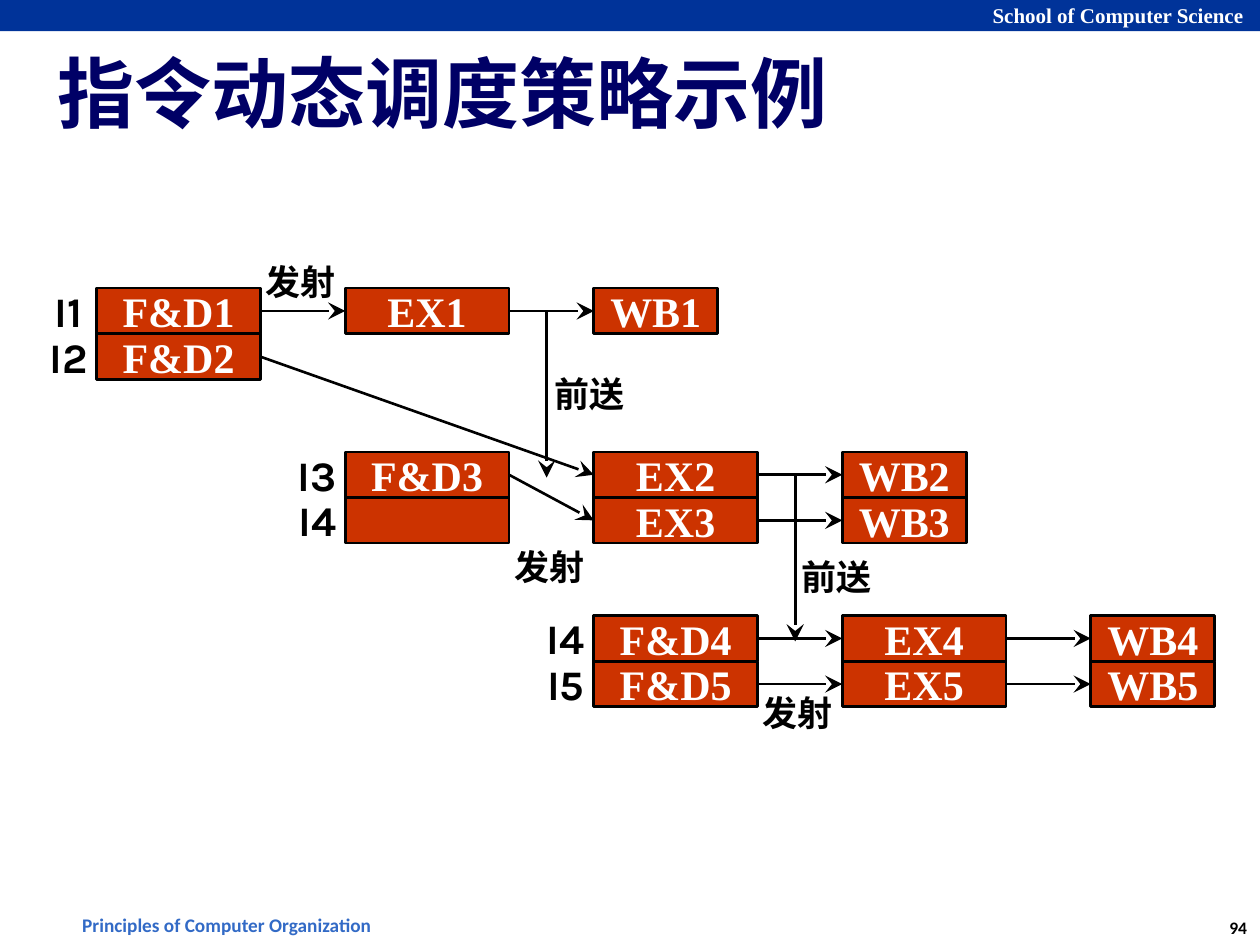
"""Build a slide showing dynamic instruction scheduling in a pipeline."""
from lxml.etree import SubElement
from pptx import Presentation
from pptx.dml.color import RGBColor
from pptx.enum.shapes import MSO_CONNECTOR as Connector
from pptx.enum.shapes import MSO_SHAPE as Shape
from pptx.enum.text import MSO_ANCHOR as Anchor
from pptx.enum.text import PP_ALIGN as Align
from pptx.oxml.ns import qn
from pptx.util import Cm, Pt

BLACK = RGBColor(0x00, 0x00, 0x00)
WHITE = RGBColor(0xFF, 0xFF, 0xFF)
BANNER_BLUE = RGBColor(0x00, 0x33, 0x99)
FOOTER_BLUE = RGBColor(0x32, 0x6A, 0xC6)
TITLE_NAVY = RGBColor(0x00, 0x00, 0x66)
STAGE_RED = RGBColor(0xCC, 0x33, 0x00)

SERIF, SANS, LABEL = "Times New Roman", "Calibri", "Karla"

LEFT, COLUMN_STEP = 1.95, 5.01
TOP, GROUP_STEP, ROW_HEIGHT = 5.81, 3.3, 0.92
STAGE_WIDTH, WRITE_BACK_WIDTH = 3.3, 2.5

ROWS = [
    (0, 0, "I1", ("F&D1", "EX1", "WB1")),
    (0, 1, "I2", ("F&D2",)),
    (1, 0, "I3", ("F&D3", "EX2", "WB2")),
    (1, 1, "I4", ("", "EX3", "WB3")),
    (2, 0, "I4", ("F&D4", "EX4", "WB4")),
    (2, 1, "I5", ("F&D5", "EX5", "WB5")),
]
NOTES = [
    ("发射", 5.1, 5.13),
    ("前送", 10.92, 7.39),
    ("发射", 10.11, 10.87),
    ("前送", 15.9, 11.07),
    ("发射", 15.11, 13.82),
]


def add_run(paragraph, text, size, font, color):
    run = paragraph.add_run()
    run.text = text
    run.font.size = Pt(size)
    run.font.name = font
    run.font.bold = True
    run.font.color.rgb = color


def add_label(slide, text, box, size, font, color, align=Align.CENTER):
    shape = slide.shapes.add_textbox(*map(Cm, box))
    shape.text_frame.word_wrap = False
    paragraph = shape.text_frame.paragraphs[0]
    paragraph.alignment = align
    add_run(paragraph, text, size, font, color)
    return shape


def add_title(slide, text):
    title = add_label(slide, text, (1.07, 0.71, 23.29, 2.26), 44, SERIF, TITLE_NAVY, Align.LEFT)
    frame = title.text_frame
    frame.word_wrap = True
    frame.vertical_anchor = Anchor.MIDDLE
    frame.margin_left = frame.margin_right = Cm(0.1)
    frame.margin_top = frame.margin_bottom = Cm(0.1)


def add_rectangle(slide, box, fill):
    shape = slide.shapes.add_shape(Shape.RECTANGLE, *map(Cm, box))
    shape.shadow.inherit = False
    shape.fill.solid()
    shape.fill.fore_color.rgb = fill
    shape.line.fill.background()
    return shape


def add_stage(slide, text, column, top):
    width = WRITE_BACK_WIDTH if text.startswith("WB") else STAGE_WIDTH
    box = (LEFT + column * COLUMN_STEP, top, width, ROW_HEIGHT)
    shape = add_rectangle(slide, box, STAGE_RED)
    shape.line.color.rgb = BLACK
    shape.line.width = Pt(1.5)
    frame = shape.text_frame
    frame.word_wrap = False
    frame.vertical_anchor = Anchor.MIDDLE
    if text:
        paragraph = frame.paragraphs[0]
        paragraph.alignment = Align.CENTER
        add_run(paragraph, text, 24, SERIF, WHITE)
    return shape


def add_arrow(slide, points=(0, 0, 0, 0), weight=1.5):
    arrow = slide.shapes.add_connector(Connector.STRAIGHT, *map(Cm, points))
    arrow.line.color.rgb = BLACK
    arrow.line.width = Pt(weight)
    SubElement(arrow.line._get_or_add_ln(), qn("a:tailEnd"), type="stealth", w="lg", len="lg")
    SubElement(arrow._element.spPr, qn("a:effectLst"))
    return arrow


def link_stages(slide, source, target):
    arrow = add_arrow(slide)
    arrow.begin_connect(source, 3)
    arrow.end_connect(target, 1)


def add_pipeline(slide):
    stages = {}
    for group, line, label, names in ROWS:
        top = TOP + group * GROUP_STEP + line * ROW_HEIGHT
        for offset, name in enumerate(names):
            stages[name] = add_stage(slide, name, group + offset, top)
        label_left = LEFT + group * COLUMN_STEP - 1.29
        add_label(slide, label, (label_left, top - 0.18, 1.45, 1.27), 24, LABEL, BLACK)
    for number in range(1, 6):
        fetch, execute, write = (stages[f"{kind}{number}"] for kind in ("F&D", "EX", "WB"))
        link_stages(slide, fetch, execute)
        link_stages(slide, execute, write)


def add_forwarding(slide):
    for group in range(2):
        x = 11.02 + group * COLUMN_STEP
        y = 6.29 + group * GROUP_STEP
        add_arrow(slide, (x, y, x, y + 3.34), 1.75)


def add_frame(slide):
    add_label(slide, "94", (24.49, 18.36, 0.94, 0.69), 10, SANS, BLACK)
    add_rectangle(slide, (0, 0, 25.4, 0.63), BANNER_BLUE)
    add_label(slide, "School of Computer Science", (19.76, -0.08, 5.61, 0.76),
              12, SERIF, WHITE, Align.LEFT)
    add_label(slide, "Principles of Computer Organization", (1.4, 18.29, 6.35, 0.74),
              11, SANS, FOOTER_BLUE)


def main():
    presentation = Presentation()
    presentation.slide_width = Cm(25.4)
    presentation.slide_height = Cm(19.05)
    slide = presentation.slides.add_slide(presentation.slide_layouts[6])
    add_frame(slide)
    add_title(slide, "指令动态调度策略示例")
    add_pipeline(slide)
    add_forwarding(slide)
    for text, left, top in NOTES:
        add_label(slide, text, (left, top, 1.93, 1.09), 20, LABEL, BLACK)
    presentation.save("out.pptx")


if __name__ == "__main__":
    main()
